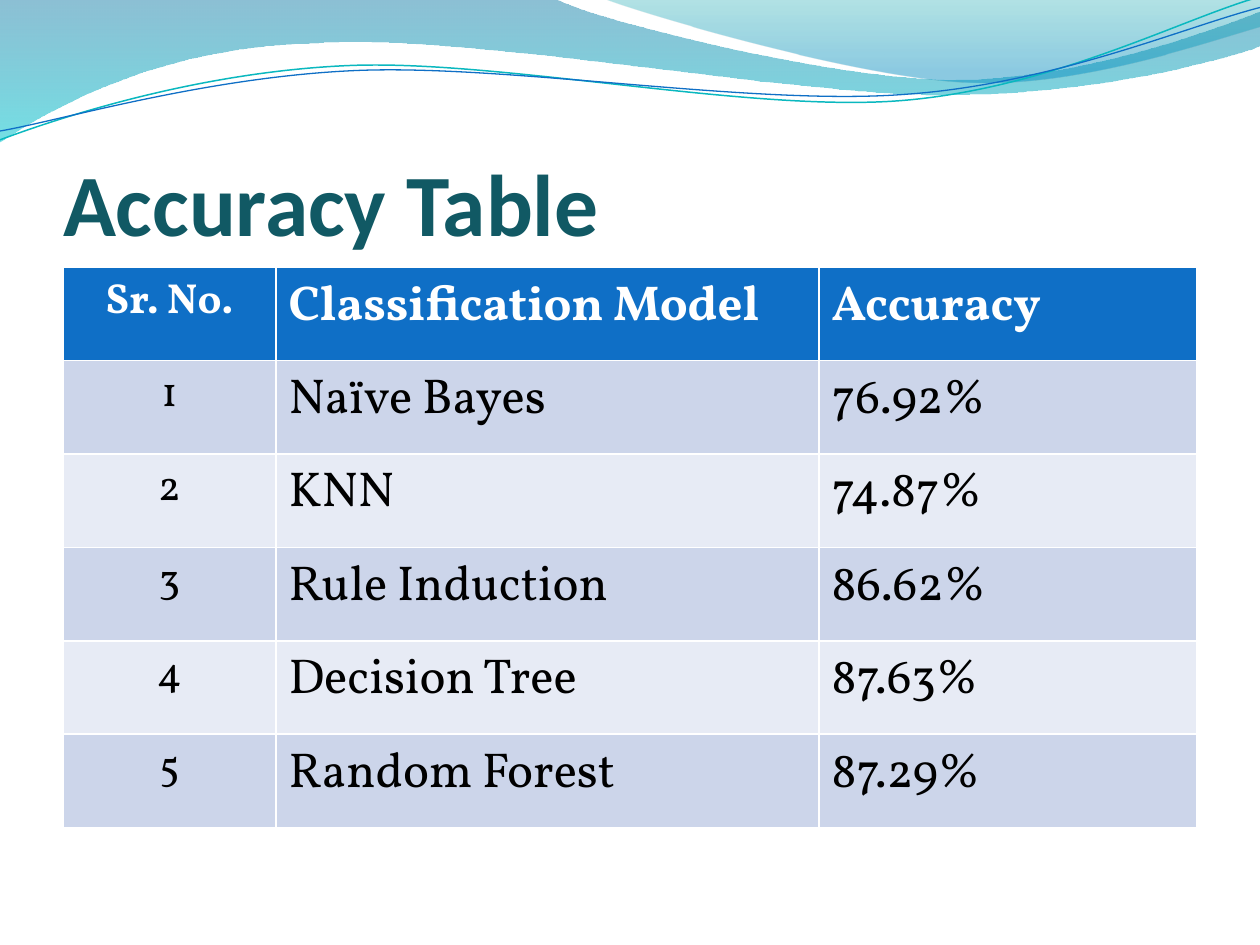
from math import cos, radians, sin

from lxml.etree import SubElement
from pptx import Presentation
from pptx.dml.color import RGBColor
from pptx.enum.text import MSO_ANCHOR, PP_ALIGN
from pptx.oxml import parse_xml
from pptx.oxml.ns import nsdecls, qn
from pptx.util import Inches, Pt

# Content
TITLE = "Accuracy Table"
ROWS = [
    ("Sr. No.", "Classification Model", "Accuracy"),
    ("1", "Naïve Bayes", "76.92%"),
    ("2", "KNN", "74.87%"),
    ("3", "Rule Induction", "86.62%"),
    ("4", "Decision Tree", "87.63%"),
    ("5", "Random Forest", "87.29%"),
]
COLUMN_WIDTHS = (1.69, 4.31, 3)
TABLE_HEIGHT = 4.45

# Colours
WHITE = RGBColor(0xFF, 0xFF, 0xFF)
BLACK = RGBColor(0x00, 0x00, 0x00)
TITLE_TEAL = RGBColor(0x11, 0x59, 0x64)
TITLE_EDGE = RGBColor(0x00, 0x9D, 0xD9)
BLUE = RGBColor(0x0F, 0x6F, 0xC6)
TEAL = RGBColor(0x0A, 0xB8, 0xBF)
BAND_DARK = RGBColor(0xCC, 0xD5, 0xEA)
BAND_LIGHT = RGBColor(0xE7, 0xEB, 0xF5)
DEEP_BLUE = RGBColor(0x00, 0x74, 0xA1)
CYAN = RGBColor(0x00, 0xC6, 0xCF)
DEEP_TEAL = RGBColor(0x00, 0xA1, 0xA9)
SKY_BLUE = RGBColor(0x00, 0x8B, 0xBF)

# Waves: a start point, then segments of one point (line) or three (Bezier curve)
# Gradient stops: position in percent, colour, opacity in percent
FILLED_WAVES = [
    {"start": (0, 0),
     "segments": [[(4.4, -0.01)],
                  [(4.76, 0.17), (6.64, 0.63), (7.58, 0.63)],
                  [(8.53, 0.63), (9.58, 0.26), (10, 0.09)],
                  [(10.01, 0.36)],
                  [(9.83, 0.44), (8.7, 0.76), (7.46, 0.75)],
                  [(6.22, 0.75), (3.82, 0.28), (2.57, 0.34)],
                  [(1.29, 0.36), (0.46, 0.83), (-0.01, 1.13)],
                  [(0, 0)]],
     "stops": [(0, DEEP_BLUE, 45), (100, CYAN, 55)]},
    {"start": (4.79, -0.01),
     "segments": [[(5.09, 0.11), (6.82, 0.62), (7.69, 0.65)],
                  [(8.56, 0.69), (9.61, 0.32), (10, 0.21)],
                  [(10, 0)],
                  [(4.79, -0.01)]],
     "stops": [(0, DEEP_TEAL, 30), (80, SKY_BLUE, 45)]},
]
LINE_WAVES = [
    {"start": (0, 1.11),
     "segments": [[(0.48, 0.93), (1.58, 0.57), (2.77, 0.52)],
                  [(3.95, 0.47), (5.93, 0.89), (7.13, 0.8)],
                  [(8.33, 0.71), (9.38, 0.15), (9.98, -0.02)]],
     "center": (4.99, 0.58), "color": TEAL, "width": 0.85},
    {"start": (0, 1.04),
     "segments": [[(0.47, 0.96), (1.64, 0.61), (2.83, 0.56)],
                  [(4.03, 0.51), (5.97, 0.84), (7.17, 0.75)],
                  [(8.36, 0.67), (9.41, 0.21), (10, 0.06)]],
     "center": (5, 0.59), "color": BLUE, "width": 0.75},
]
LINE_TILT = -2.7


def turn(point, center, degrees):
    angle = radians(degrees)
    x, y = point[0] - center[0], point[1] - center[1]
    return (center[0] + x * cos(angle) - y * sin(angle),
            center[1] + x * sin(angle) + y * cos(angle))


def add_wave(shapes, start, segments, *, close=False, center=(0, 0), tilt=0):
    """Draw a chain of lines and curves whose frame is tilted about its center."""
    points = [turn(point, center, -tilt) for point in [start, *sum(segments, [])]]
    points = [(Inches(x), Inches(y)) for x, y in points]
    builder = shapes.build_freeform(*points[0])
    builder.add_line_segments(points[1:], close=close)
    wave = builder.convert_to_shape()
    wave.shadow.inherit = False
    wave.rotation = tilt % 360

    # Join each three points of a curve into one Bezier segment
    strokes = iter(list(wave._element.iter(qn("a:lnTo"))))
    for segment in segments:
        first, *others = [next(strokes) for _ in segment]
        if others:
            first.tag = qn("a:cubicBezTo")
        for other in others:
            first.append(other[0])
            other.getparent().remove(other)
    return wave


def fill_gradient(shape, stops):
    """Fill from top to bottom with partly transparent colours."""
    marks = "".join(
        f'<a:gs pos="{position * 1000}"><a:srgbClr val="{color}">'
        f'<a:alpha val="{opacity * 1000}"/></a:srgbClr></a:gs>'
        for position, color, opacity in stops)
    gradient = parse_xml(f'<a:gradFill {nsdecls("a")} rotWithShape="1"><a:gsLst>{marks}</a:gsLst>'
                         '<a:lin ang="5400000" scaled="0"/></a:gradFill>')
    shape._element.spPr.find(qn("a:custGeom")).addnext(gradient)


def write_text(frame, text, *, font, size, color, bold=False, align=PP_ALIGN.LEFT):
    para = frame.paragraphs[0]
    para.alignment = align
    span = para.add_run()
    span.text = text
    span.font.name = font
    span.font.size = Pt(size)
    span.font.bold = bold
    span.font.color.rgb = color
    return span


def outline_text(span, color, width):
    properties = span.font._element
    line = SubElement(properties, qn("a:ln"), w=str(Pt(width)))
    SubElement(SubElement(line, qn("a:solidFill")), qn("a:srgbClr"), val=str(color))
    properties.insert(0, line)


def main():
    deck = Presentation()
    deck.slide_width, deck.slide_height = Inches(10), Inches(7.5)
    slide = deck.slides.add_slide(deck.slide_layouts[5])

    # Waves along the top
    for wave in FILLED_WAVES:
        shape = add_wave(slide.shapes, wave["start"], wave["segments"], close=True)
        fill_gradient(shape, wave["stops"])
        shape.line.fill.background()
    group = slide.shapes.add_group_shape()
    for wave in LINE_WAVES:
        shape = add_wave(group.shapes, wave["start"], wave["segments"],
                         center=wave["center"], tilt=LINE_TILT)
        shape.fill.background()
        shape.line.color.rgb = wave["color"]
        shape.line.width = Pt(wave["width"])

    # Title, brought in front of the waves
    title = slide.shapes.title
    slide.shapes._spTree.append(title._element)
    title.left, title.top, title.width, title.height = map(Inches, (0.5, 0.77, 9, 1.25))
    frame = title.text_frame
    frame.word_wrap = True
    frame.vertical_anchor = MSO_ANCHOR.BOTTOM
    frame.margin_left = frame.margin_right = frame.margin_bottom = 0
    frame.margin_top = Inches(0.05)
    span = write_text(frame, TITLE, font="Calibri", size=50, color=TITLE_TEAL, bold=True)
    outline_text(span, TITLE_EDGE, 1.42)

    # Accuracy table; its default style draws the white borders
    table = slide.shapes.add_table(
        len(ROWS), len(COLUMN_WIDTHS), Inches(0.5), Inches(2.12),
        Inches(sum(COLUMN_WIDTHS)), Inches(TABLE_HEIGHT)).table
    for column, width in zip(table.columns, COLUMN_WIDTHS):
        column.width = Inches(width)
    for row_index, row in enumerate(ROWS):
        header = row_index == 0
        band = BLUE if header else BAND_DARK if row_index % 2 else BAND_LIGHT
        for column_index, text in enumerate(row):
            cell = table.cell(row_index, column_index)
            number = column_index == 0
            write_text(cell.text_frame, text, font="Vollkorn", size=24 if number else 28,
                       color=WHITE if header else BLACK, bold=header,
                       align=PP_ALIGN.CENTER if number else PP_ALIGN.LEFT)
            cell.fill.solid()
            cell.fill.fore_color.rgb = band

    deck.save("out.pptx")


if __name__ == "__main__":
    main()
